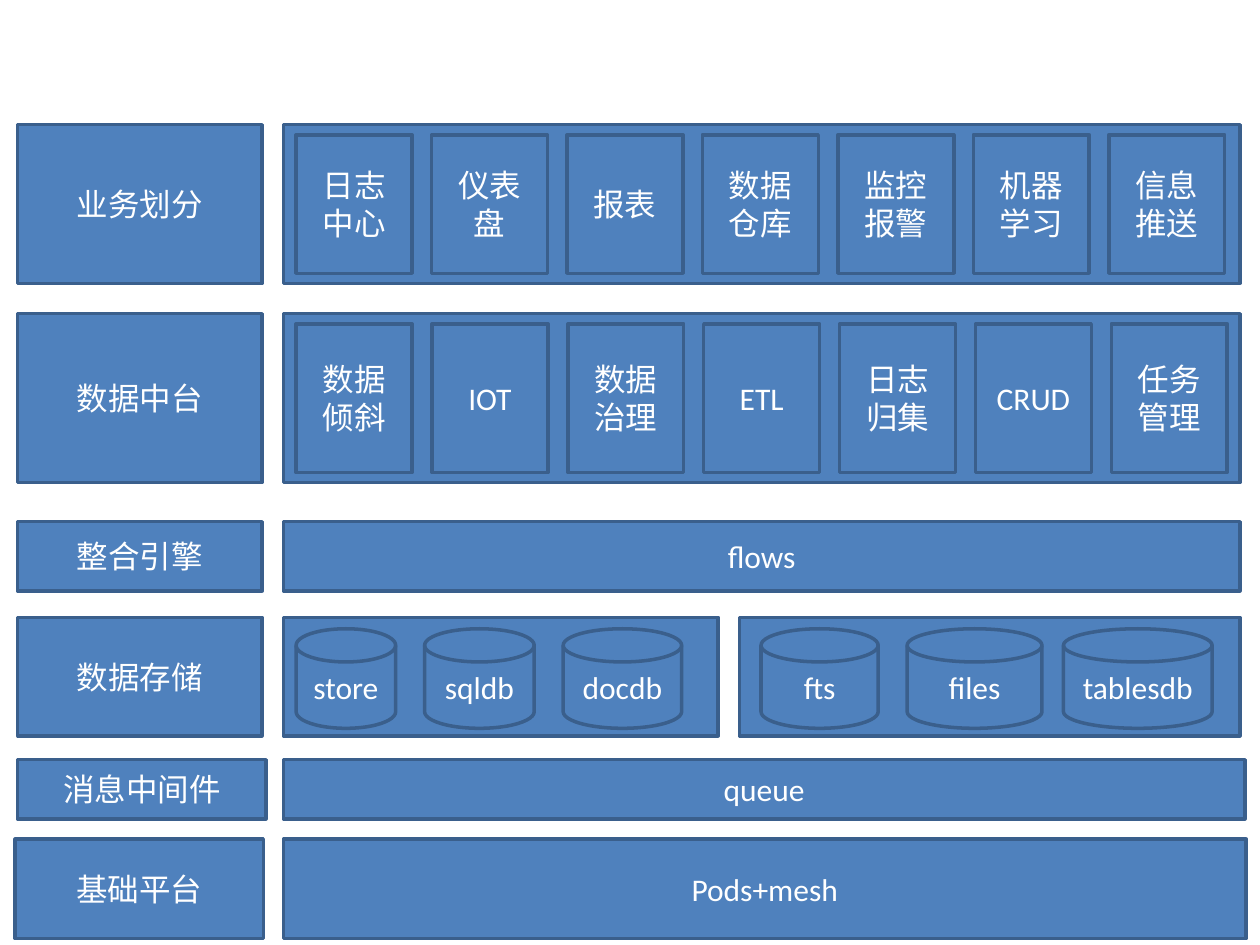
"""Build a layered data platform architecture slide."""
from dataclasses import dataclass

import pptx
import pptx.util
from pptx.dml.color import RGBColor
from pptx.enum.shapes import MSO_SHAPE
from pptx.enum.text import MSO_ANCHOR, PP_ALIGN
from pptx.util import Inches

COLORS = {"fill": "4F81BD", "line": "3A5F8C", "text": "FFFFFF"}
LEFT = 0.14
PANEL = 2.25
WIDE = 7.59
INSET = 0.08


@dataclass
class Box:
    """A shape with its place, in inches, and its text."""
    left: float
    top: float
    width: float
    height: float
    text: str = ""
    kind: MSO_SHAPE = MSO_SHAPE.RECTANGLE


@dataclass
class Layer:
    """A label on the left with one panel on the right."""
    label: str
    top: float
    height: float
    text: str = ""
    left: float = LEFT
    side: float = 1.94
    width: float = WIDE


@dataclass
class Tiles:
    """An evenly spaced row of tiles inside a layer."""
    layer: Layer
    names: list[str]
    span: float


def draw(slide: pptx.slide.Slide, box: Box) -> None:
    """Draw one box with its centred text."""
    place = (Inches(n) for n in (box.left, box.top, box.width, box.height))
    shape = slide.shapes.add_shape(box.kind, *place)
    shape.shadow.inherit = False
    shape.fill.solid()
    shape.fill.fore_color.rgb = RGBColor.from_string(COLORS["fill"])
    shape.line.color.rgb = RGBColor.from_string(COLORS["line"])
    shape.line.width = pptx.util.Pt(2)
    if box.text:
        frame = shape.text_frame
        frame.text = box.text
        frame.word_wrap = True
        frame.vertical_anchor = MSO_ANCHOR.MIDDLE
        para = frame.paragraphs[0]
        para.alignment = PP_ALIGN.CENTER
        para.font.size = pptx.util.Pt(18)
        para.font.name = "Calibri"
        para.font.color.rgb = RGBColor.from_string(COLORS["text"])


def draw_layer(slide: pptx.slide.Slide, layer: Layer) -> None:
    """Draw the label and the panel of a layer."""
    draw(slide, Box(layer.left, layer.top, layer.side, layer.height, layer.label))
    draw(slide, Box(PANEL, layer.top, layer.width, layer.height, layer.text))


def draw_tiles(slide: pptx.slide.Slide, row: Tiles) -> None:
    """Spread tiles evenly over the panel of a layer."""
    step = row.span / (len(row.names) - 1)
    top = row.layer.top + INSET
    height = row.layer.height - 2 * INSET
    for i, name in enumerate(row.names):
        draw(slide, Box(2.35 + i * step, top, 0.92, height, name))


work = Layer("业务划分", 0.99, 1.26)
hub = Layer("数据中台", 2.49, 1.34)
store = Layer("数据存储", 4.9, 0.94, width=3.45)
layers = [
    work,
    hub,
    Layer("整合引擎", 4.14, 0.55, "flows"),
    store,
    Layer("消息中间件", 6.03, 0.47, "queue", side=1.97, width=7.63),
    Layer("基础平台", 6.66, 0.79, "Pods+mesh", left=0.12, side=1.97, width=7.64),
]
rows = [
    Tiles(work, ["日志中心", "仪表盘", "报表", "数据仓库", "监控报警",
                 "机器学习", "信息推送"], 6.45),
    Tiles(hub, ["数据倾斜", "IOT", "数据治理", "ETL", "日志归集",
                "CRUD", "任务管理"], 6.47),
]
disks = [
    (2.35, 0.79, "store"), (3.37, 0.87, "sqldb"), (4.47, 0.94, "docdb"),
    (6.04, 0.93, "fts"), (7.2, 1.07, "files"), (8.44, 1.18, "tablesdb"),
]

deck = pptx.Presentation()
deck.slide_width = Inches(10)
deck.slide_height = Inches(7.5)
page = deck.slides.add_slide(deck.slide_layouts[6])
for layer in layers:
    draw_layer(page, layer)
draw(page, Box(5.87, store.top, 3.97, store.height))
for row in rows:
    draw_tiles(page, row)
for left, width, name in disks:
    draw(page, Box(left, 4.99, width, 0.79, name,
                   MSO_SHAPE.FLOWCHART_MAGNETIC_DISK))
deck.save("out.pptx")
